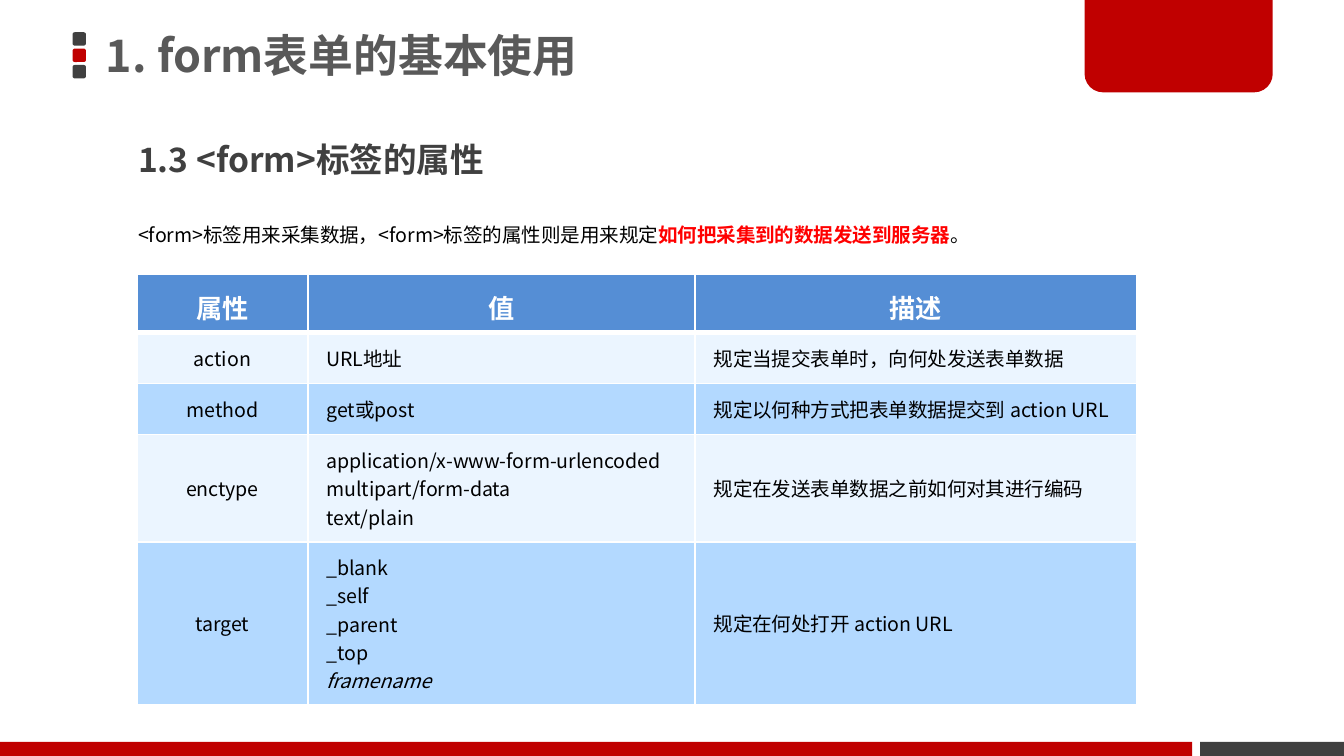
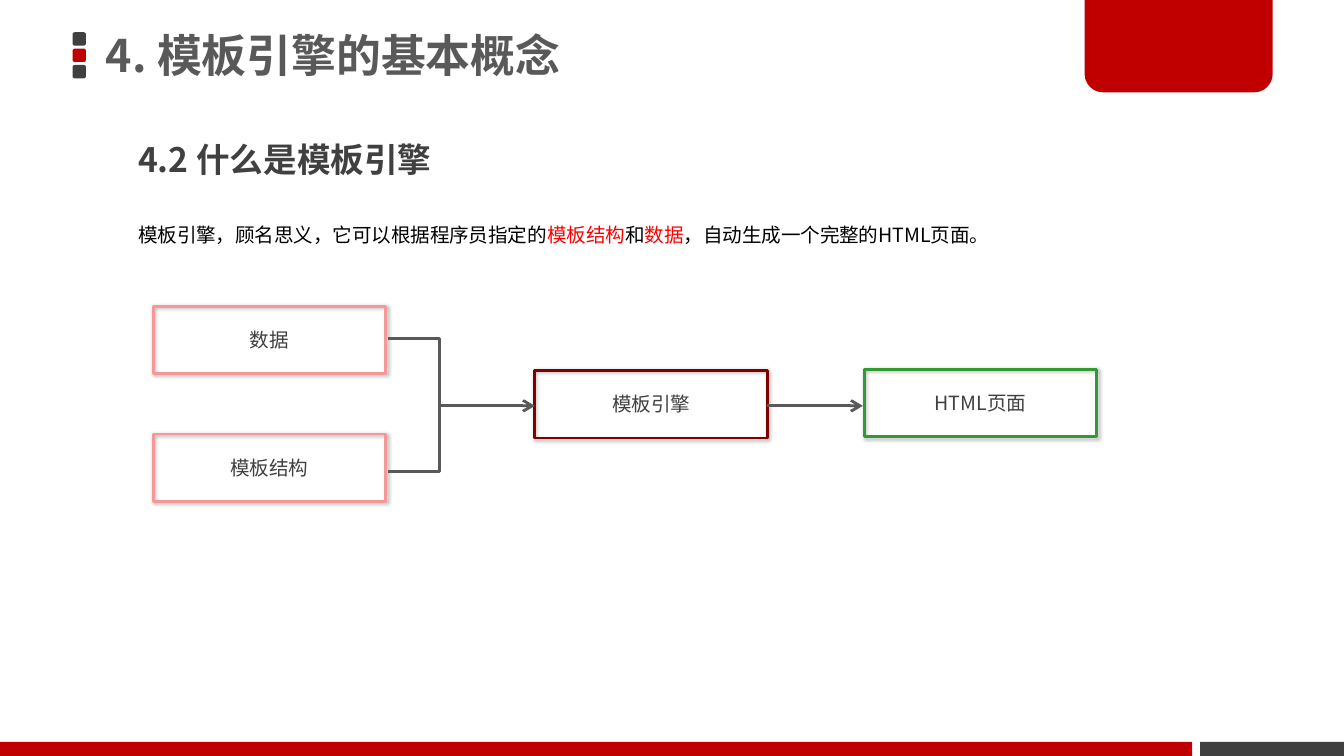
"""Builds two lesson slides: form attributes as a table and a template engine as a flow."""
from lxml import etree
from pptx import Presentation
from pptx.dml.color import RGBColor
from pptx.enum.shapes import MSO_CONNECTOR, MSO_SHAPE
from pptx.enum.text import MSO_ANCHOR, PP_ALIGN
from pptx.oxml.ns import qn
from pptx.util import Inches, Pt

RECTANGLE, ROUNDED = MSO_SHAPE.RECTANGLE, MSO_SHAPE.ROUNDED_RECTANGLE
TAB = MSO_SHAPE.ROUND_2_SAME_RECTANGLE
STRAIGHT = MSO_CONNECTOR.STRAIGHT
TOP, MIDDLE = MSO_ANCHOR.TOP, MSO_ANCHOR.MIDDLE
LEFT, CENTER = PP_ALIGN.LEFT, PP_ALIGN.CENTER

THEME = {
    "font": "Noto Sans CJK SC",
    "red": "C00000", "dark": "404040", "arrow": "595959", "white": "FFFFFF",
    "header": "558ED5", "bands": ["EBF5FF", "B3D9FF"],
    "input": "F69898", "engine": "800000", "output": "339933",
    "title": {"size": Pt(24), "bold": True, "color": "595959"},
    "subtitle": {"size": Pt(18), "bold": True, "color": "404040"},
    "body": {"size": Pt(10.5), "bold": False, "color": "000000"},
    "label": {"size": Pt(10.5), "bold": False, "color": "404040"},
    "heading": {"size": Pt(14), "bold": True, "color": "FFFFFF"},
    "line": Pt(1.5),
}
KEY = {"color": "FF0000"}
STRONG = {"color": "FF0000", "bold": True}
ITALIC = {"italic": True}

presentation = Presentation()
presentation.slide_width, presentation.slide_height = Inches(10), Inches(5.625)
CELL = presentation.slide_width // 100
COLUMNS, ROWS = 100, 56.25


def write(frame, paragraphs, style, alignment=LEFT, **spacing):
    """Fill a text frame with paragraphs of (text, format changes) runs."""
    for index, runs in enumerate(paragraphs):
        paragraph = frame.paragraphs[0] if index == 0 else frame.add_paragraph()
        for name, value in {"alignment": alignment, **spacing}.items():
            setattr(paragraph, name, value)
        for text, changes in runs:
            run = paragraph.add_run()
            run.text = text
            values = {"name": THEME["font"], **style, **changes}
            run.font.color.rgb = RGBColor.from_string(values.pop("color"))
            for name, value in values.items():
                setattr(run.font, name, value)
            east_asian = etree.SubElement(run._r.get_or_add_rPr(), qn("a:ea"))
            east_asian.set("typeface", THEME["font"])


def add_shape(slide, kind, at, fill=None, line=None):
    """Add a preset shape at a grid position, without a shadow."""
    shape = slide.shapes.add_shape(kind, *[round(length * CELL) for length in at])
    shape.shadow.inherit = False
    for part, color in ((shape.fill, fill), (shape.line.fill, line)):
        if color:
            part.solid()
            part.fore_color.rgb = RGBColor.from_string(color)
        else:
            part.background()
    return shape


pages = [
    ("1. form表单的基本使用", "1.3 <form>标签的属性",
     [("<form>标签用来采集数据，<form>标签的属性则是用来规定", {}),
      ("如何把采集到的数据发送到服务器", STRONG), ("。", {})]),
    ("4. 模板引擎的基本概念", "4.2 什么是模板引擎",
     [("模板引擎，顾名思义，它可以根据程序员指定的", {}), ("模板结构", KEY), ("和", {}),
      ("数据", KEY), ("，自动生成一个完整的HTML页面。", {})]),
]
for title, subtitle, sentence in pages:
    slide = presentation.slides.add_slide(presentation.slide_layouts[6])
    for index, color in enumerate(["dark", "red", "dark"]):
        add_shape(slide, ROUNDED, (5.4, 2.4 + 1.22 * index, 1, 1), THEME[color])
    add_shape(slide, RECTANGLE, (89.3, ROWS - 1.05, COLUMNS - 89.3, 1.05), THEME["dark"])
    add_shape(slide, RECTANGLE, (0, ROWS - 1.05, 88.7, 1.05), THEME["red"])
    tab = add_shape(slide, TAB, (80.7, 0, 14, 6.87), THEME["red"])
    tab.adjustments[0], tab.adjustments[1] = 0, 0.2
    for at, runs, style, anchor, spacing in [
        ((6.9, 0, 73.7, 8.7), [(title, {})], "title", MIDDLE, {"line_spacing": 0.9}),
        ((9.3, 10.2, 71.3, 5.9), [(subtitle, {})], "subtitle", TOP,
         {"line_spacing": 0.9, "space_before": Pt(7.5)}),
        ((9.3, 15.2, 73.7, 5), sentence, "body", TOP,
         {"line_spacing": 1.5, "space_before": Pt(7.5)}),
    ]:
        box = slide.shapes.add_textbox(*[round(length * CELL) for length in at])
        frame = box.text_frame
        frame.word_wrap, frame.vertical_anchor = True, anchor
        write(frame, [runs], THEME[style], **spacing)

form_slide, engine_slide = presentation.slides

attributes = [
    (["属性"], ["值"], ["描述"]),
    (["action"], ["URL地址"], ["规定当提交表单时，向何处发送表单数据"]),
    (["method"], ["get或post"], ["规定以何种方式把表单数据提交到 action URL"]),
    (["enctype"], ["application/x-www-form-urlencoded", "multipart/form-data", "text/plain"],
     ["规定在发送表单数据之前如何对其进行编码"]),
    (["target"], ["_blank", "_self", "_parent", "_top", "framename"],
     ["规定在何处打开 action URL"]),
]
column_widths = [12.7, 28.8, 32.9]
row_heights = [4.3, 3.8, 3.8, 8, 12.1]
table_at = [round(length * CELL) for length in (10.2, 20.4, sum(column_widths), sum(row_heights))]
table = form_slide.shapes.add_table(len(row_heights), len(column_widths), *table_at).table
table.horz_banding = False
for column, width in zip(table.columns, column_widths):
    column.width = round(width * CELL)
for row, height in zip(table.rows, row_heights):
    row.height = round(height * CELL)

for row_index, row in enumerate(attributes):
    is_header = row_index == 0
    fill = THEME["header"] if is_header else THEME["bands"][(row_index - 1) % 2]
    side, edge = (1, 0.5) if is_header else (1.4, 0.8)
    for column_index, lines in enumerate(row):
        cell = table.cell(row_index, column_index)
        cell.fill.solid()
        cell.fill.fore_color.rgb = RGBColor.from_string(fill)
        cell_format = {
            "vertical_anchor": TOP if is_header else MIDDLE,
            "margin_left": round(side * CELL), "margin_right": round(side * CELL),
            "margin_top": round(edge * CELL), "margin_bottom": round(edge * CELL),
        }
        for name, value in cell_format.items():
            setattr(cell, name, value)
        write(cell.text_frame,
              [[(line, ITALIC if line == "framename" else {})] for line in lines],
              THEME["heading" if is_header else "body"],
              CENTER if is_header or column_index == 0 else LEFT,
              line_spacing=Pt(24) if is_header else None)
        borders = {"lnL": 1, "lnR": 1, "lnT": 3 if row_index == 1 else 1,
                   "lnB": 3 if is_header else 1}
        properties = cell._tc.get_or_add_tcPr()
        for position, (name, width) in enumerate(borders.items()):
            border = etree.Element(qn("a:" + name), w=str(Pt(width)))
            solid = etree.SubElement(border, qn("a:solidFill"))
            etree.SubElement(solid, qn("a:srgbClr"), val=THEME["white"])
            properties.insert(position, border)

BOX_WIDTH, BOX_HEIGHT, LABEL_HEIGHT = 17.3, 5, 2.8
steps = [
    ("数据", 11.4, 22.8, 5.4, "input"),
    ("模板结构", 11.4, 32.3, 8.2, "input"),
    ("模板引擎", 39.8, 27.6, 8.2, "engine"),
    ("HTML页面", 64.3, 27.5, 10, "output"),
]
for text, left, top, label_width, color in steps:
    box = add_shape(engine_slide, RECTANGLE, (left, top, BOX_WIDTH, BOX_HEIGHT), line=THEME[color])
    box.line.width = THEME["line"]
    shadow = etree.SubElement(box._element.spPr.find(qn("a:effectLst")), qn("a:outerShdw"),
                              blurRad=str(Pt(2)), dist=str(Pt(1)), dir="2700000")
    shade = etree.SubElement(shadow, qn("a:srgbClr"), val="000000")
    etree.SubElement(shade, qn("a:alpha"), val="30000")
    label_at = (left + (BOX_WIDTH - label_width) / 2, top + (BOX_HEIGHT - LABEL_HEIGHT) / 2,
                label_width, LABEL_HEIGHT)
    label = engine_slide.shapes.add_textbox(*[round(length * CELL) for length in label_at])
    label.text_frame.word_wrap = True
    write(label.text_frame, [[(text, {})]], THEME["label"], CENTER)

corners = [(28.9, 35.1), (32.7, 35.1), (32.7, 25.2), (28.9, 25.2)]
points = [(round(column * CELL), round(row * CELL)) for column, row in corners]
builder = engine_slide.shapes.build_freeform(*points[0])
builder.add_line_segments(points[1:], close=False)
bracket = builder.convert_to_shape()
bracket.shadow.inherit = False
bracket.fill.background()
bracket.line.color.rgb = RGBColor.from_string(THEME["arrow"])
bracket.line.width = THEME["line"]

for start, end in [(32.7, 39.8), (57.1, 64.2)]:
    ends = [round(length * CELL) for length in (start, 30.2, end, 30.2)]
    arrow = engine_slide.shapes.add_connector(STRAIGHT, *ends)
    arrow.line.color.rgb = RGBColor.from_string(THEME["arrow"])
    arrow.line.width = THEME["line"]
    etree.SubElement(arrow.line._get_or_add_ln(), qn("a:tailEnd"), type="arrow")
    etree.SubElement(arrow._element.spPr, qn("a:effectLst"))

presentation.save("out.pptx")
